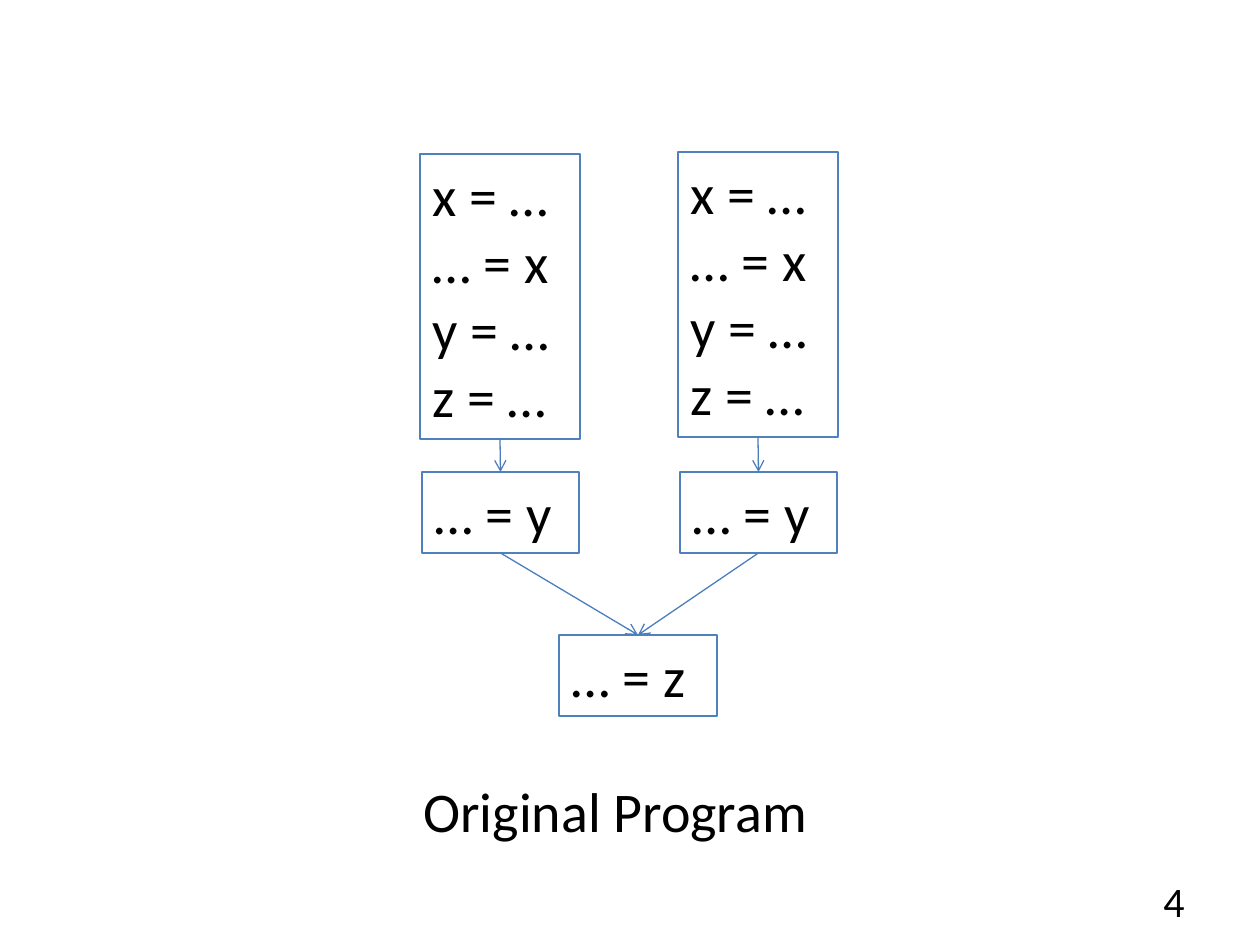
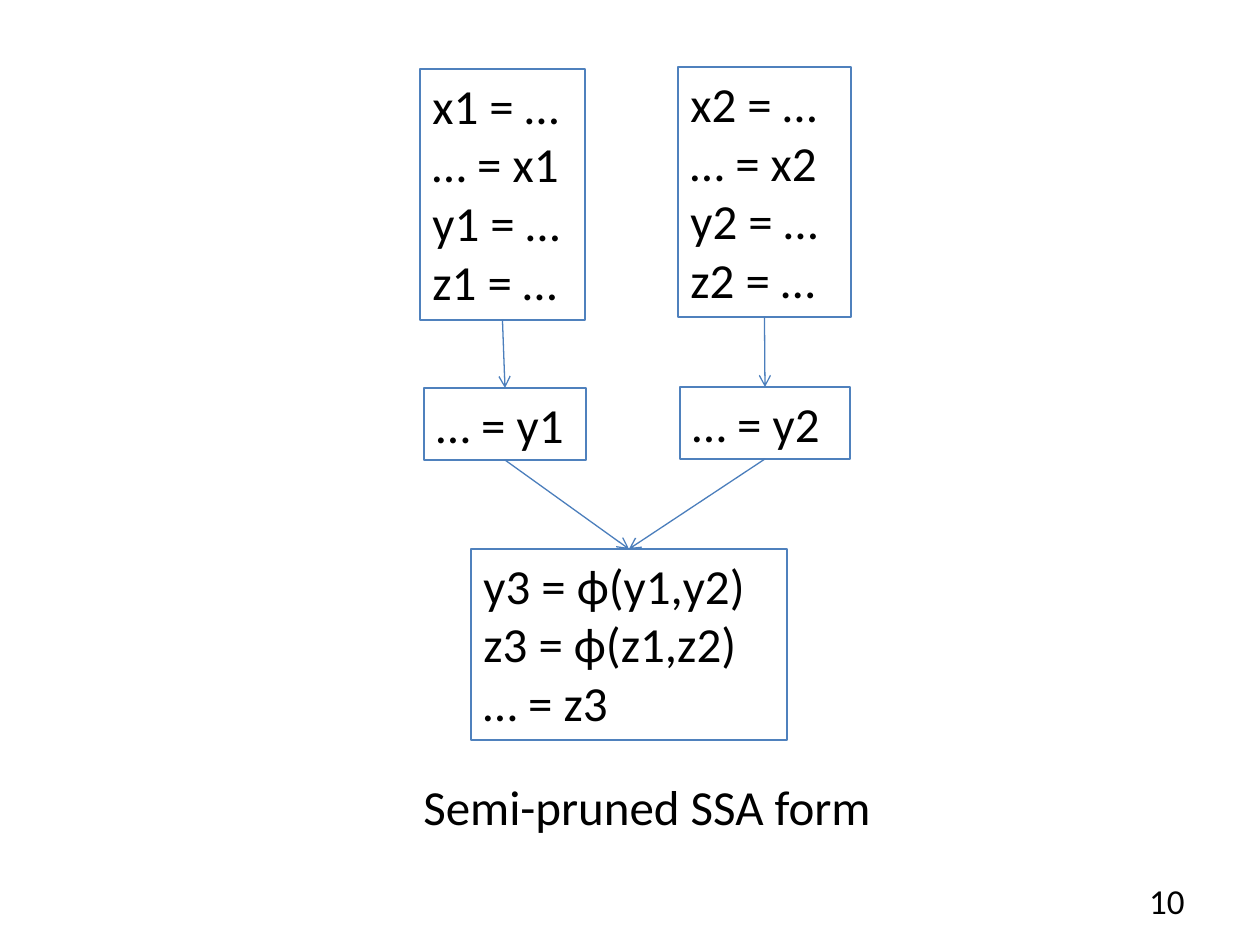
from lxml import etree
from pptx import Presentation
from pptx.dml.color import RGBColor
from pptx.enum.shapes import MSO_CONNECTOR
from pptx.enum.text import MSO_ANCHOR, PP_ALIGN
from pptx.oxml.ns import qn
from pptx.util import Pt

PX = 914400 / 126
FONT = "Calibri"
TEXT, BORDER, ARROW = "000000", "4F81BD", "4B7EBC"
LINE_WIDTH = Pt(0.75)
TOP, BOTTOM = 0, 2


def px(n):
    return round(n * PX)


def rgb(value):
    return RGBColor.from_string(value)


def add_text(s, text, rect, size, align=PP_ALIGN.LEFT, anchor=MSO_ANCHOR.TOP):
    box = s.shapes.add_textbox(*map(px, rect))
    tf = box.text_frame
    tf.word_wrap = True
    tf.vertical_anchor = anchor
    tf.text = text
    for p in tf.paragraphs:
        p.alignment = align
        for r in p.runs:
            r.font.name = FONT
            r.font.size = Pt(size)
            r.font.color.rgb = rgb(TEXT)
    return box


def add_block(s, lines, rect, size):
    """Outlined basic block with one statement per line."""
    block = add_text(s, "\n".join(lines), rect, size)
    block.line.color.rgb = rgb(BORDER)
    block.line.width = LINE_WIDTH
    return block


def add_flow(s, source, target):
    """Arrow from the bottom of one block to the top of the next."""
    flow = s.shapes.add_connector(MSO_CONNECTOR.STRAIGHT, 0, 0, 0, 0)
    flow.begin_connect(source, BOTTOM)
    flow.end_connect(target, TOP)
    flow.line.color.rgb = rgb(ARROW)
    flow.line.width = LINE_WIDTH
    etree.SubElement(flow.line._get_or_add_ln(), qn("a:tailEnd"), type="arrow")
    etree.SubElement(flow._element.spPr, qn("a:effectLst"))


def add_flow_slide(prs, number, number_size, caption, caption_width, size,
                   branches, join):
    """Control flow graph: each branch is a definition and a use block."""
    s = prs.slides.add_slide(prs.slide_layouts[6])
    add_text(s, number, (903, 876, 294, 50), number_size,
             PP_ALIGN.RIGHT, MSO_ANCHOR.MIDDLE)
    join_block = add_block(s, *join, size)
    for definitions, use in branches:
        definition_block = add_block(s, *definitions, size)
        use_block = add_block(s, *use, size)
        add_flow(s, definition_block, use_block)
        add_flow(s, use_block, join_block)
    add_text(s, caption, (411, 770, caption_width, 80), size)


def definitions(version=""):
    x, y, z = (name + version for name in "xyz")
    return [f"{x} = …", f"… = {x}", f"{y} = …", f"{z} = …"]


def main():
    prs = Presentation()
    prs.slide_width, prs.slide_height = px(1260), px(945)

    add_flow_slide(
        prs, "4", 24, "Original Program", 467, 32,
        branches=[
            ((definitions(), (420, 154, 160, 285)),
             (["… = y"], (422, 472, 157, 81))),
            ((definitions(), (678, 152, 160, 285)),
             (["… = y"], (680, 472, 157, 81))),
        ],
        join=(["… = z"], (559, 635, 158, 81)))

    add_flow_slide(
        prs, "10", 20, "Semi-pruned SSA form", 566, 28,
        branches=[
            ((definitions("1"), (420, 69, 165, 251)),
             (["… = y1"], (424, 388, 162, 72))),
            ((definitions("2"), (678, 67, 173, 250)),
             (["… = y2"], (680, 387, 170, 72))),
        ],
        join=(["y3 = ϕ(y1,y2)", "z3 = ϕ(z1,z2)", "… = z3"],
              (471, 549, 316, 191)))

    prs.save("out.pptx")


if __name__ == "__main__":
    main()
